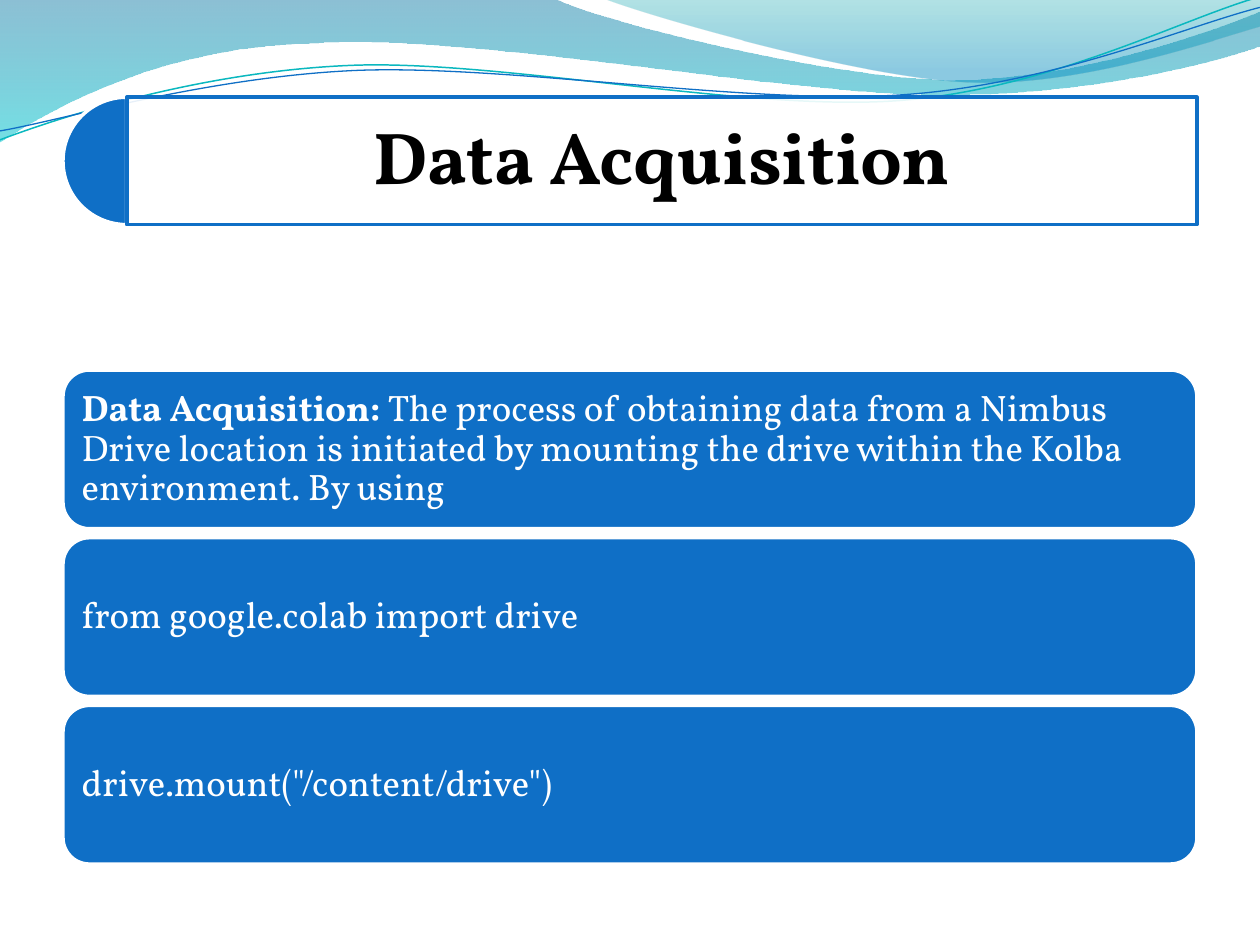
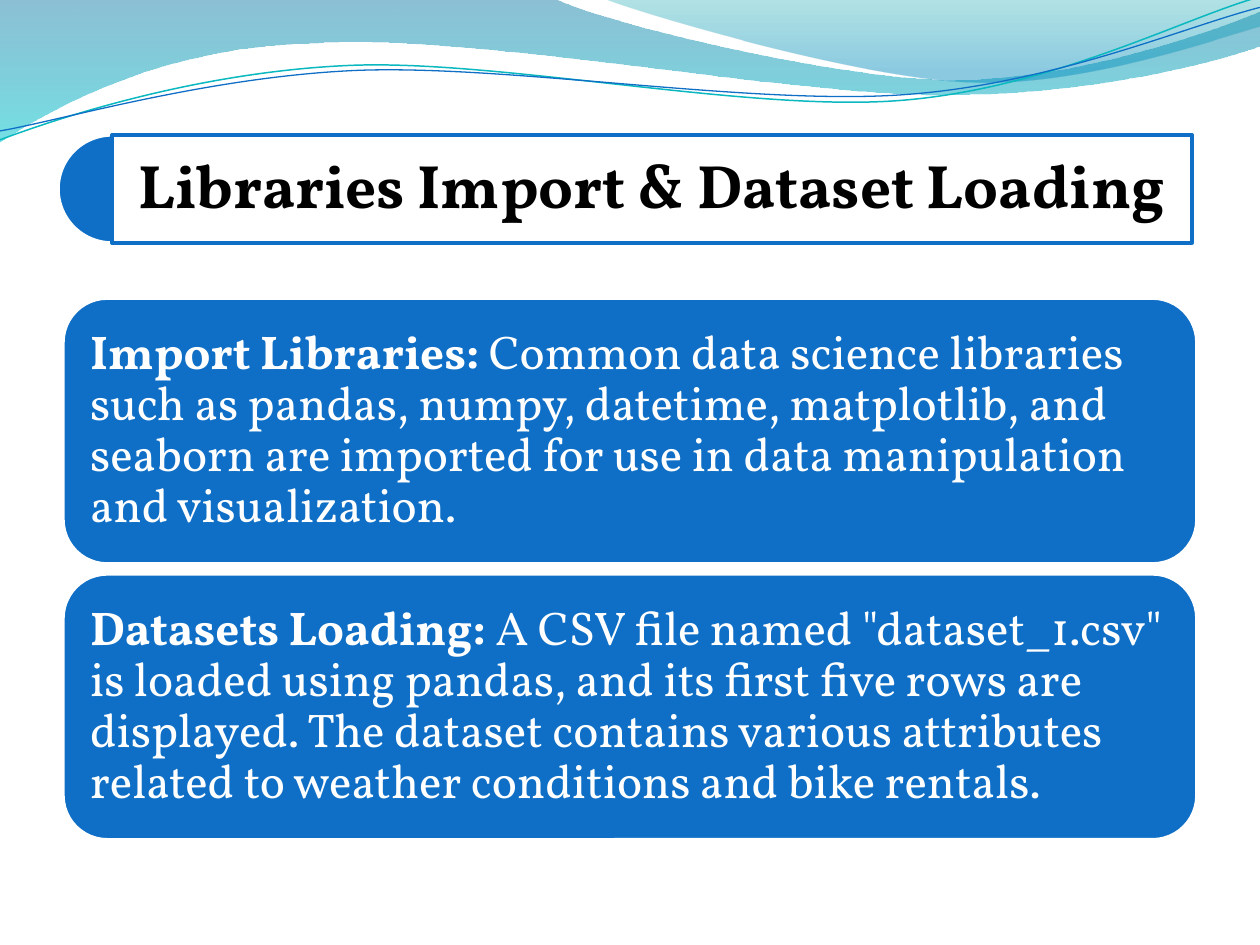
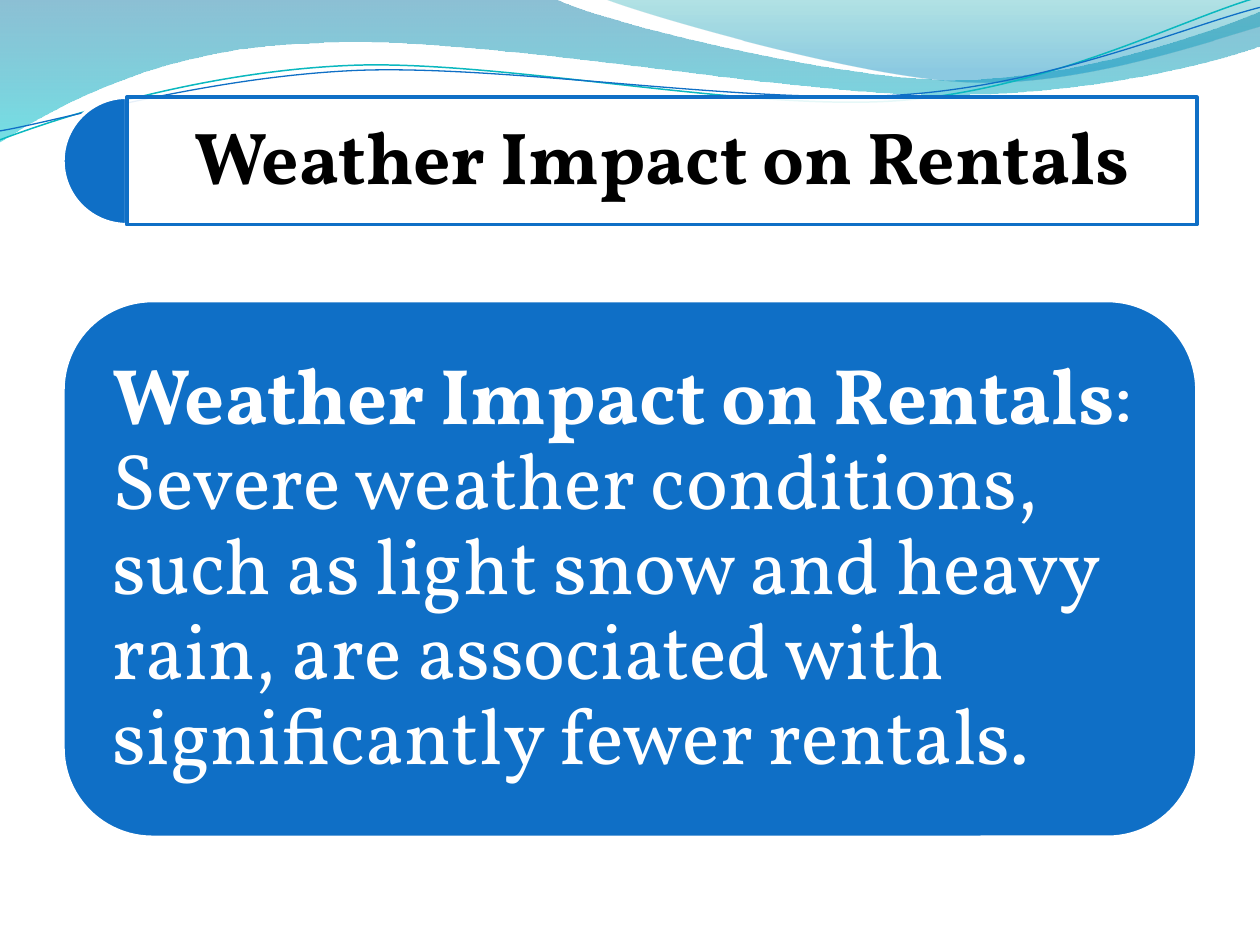
"""Builds three slides on preparing and reading bike rental data."""
from dataclasses import dataclass
from typing import Optional

from lxml import etree
from pptx import Presentation
from pptx.dml.color import RGBColor
from pptx.enum.shapes import MSO_SHAPE
from pptx.enum.text import MSO_ANCHOR, PP_ALIGN
from pptx.oxml.ns import qn
from pptx.util import Cm, Pt

PIE, RECT, ROUND_RECT = MSO_SHAPE.PIE, MSO_SHAPE.RECTANGLE, MSO_SHAPE.ROUNDED_RECTANGLE
MIDDLE = MSO_ANCHOR.MIDDLE
LEFT, CENTER = PP_ALIGN.LEFT, PP_ALIGN.CENTER


@dataclass(frozen=True)
class Theme:
    """Colours, type and line weights shared by the slides."""
    blue: str = "0F6FC6"
    teal: str = "0AB8BF"
    white: str = "FFFFFF"
    black: str = "000000"
    font: str = "Vollkorn"
    title: int = 42
    title_long: int = 35
    card_small: int = 21
    card_medium: int = 27
    card_large: int = 45
    outline: float = 2
    line_spacing: float = 0.9
    inset_ratio: float = 0.3


@dataclass(frozen=True)
class Stop:
    """A gradient stop with position and opacity from 0 to 1."""
    position: float
    color: str
    opacity: float


@dataclass(frozen=True)
class Wave:
    """An outline whose segments hold one point (line) or three (Bezier curve)."""
    start: tuple
    segments: tuple
    stops: tuple = ()
    line: Optional[str] = None
    weight: float = 0


@dataclass(frozen=True)
class Banner:
    """A title box with a half disc at its left."""
    text: str
    left: float = 1.27
    top: float = 1.96
    height: float = 2.57
    size: int = Theme.title


@dataclass(frozen=True)
class Card:
    """Card text with a bold lead."""
    lead: str
    body: str


@dataclass(frozen=True)
class Page:
    """One slide: its banner and an evenly spaced stack of cards."""
    banner: Banner
    cards: tuple
    top: float
    height: float
    size: int
    gap: float = 0.18


THEME = Theme()
CONTENT_LEFT, CONTENT_WIDTH = 1.27, 22.86

WAVES = (
    Wave((0, 0), (
        ((11.18, -0.03),),
        ((12.09, 0.43), (16.87, 1.6), (19.25, 1.6)),
        ((21.67, 1.6), (24.33, 0.66), (25.4, 0.23)),
        ((25.43, 0.91),),
        ((24.97, 1.12), (22.1, 1.93), (18.95, 1.91)),
        ((15.8, 1.91), (9.7, 0.71), (6.53, 0.86)),
        ((3.28, 0.91), (1.17, 2.11), (-0.03, 2.87)),
        ((0, 0),),
    ), stops=(Stop(0, "0074A1", 0.45), Stop(1, "00C6CF", 0.55))),
    Wave((12.17, -0.03), (
        ((12.93, 0.28), (17.32, 1.57), (19.53, 1.65)),
        ((21.74, 1.75), (24.41, 0.81), (25.4, 0.53)),
        ((25.4, 0),),
        ((12.17, -0.03),),
    ), stops=(Stop(0, "00A1A9", 0.3), Stop(0.8, "008BBF", 0.45))),
    Wave((0, 2.82), (
        ((1.22, 2.36), (4.01, 1.45), (7.04, 1.32)),
        ((10.03, 1.19), (15.06, 2.26), (18.11, 2.03)),
        ((21.16, 1.8), (23.83, 0.38), (25.35, -0.05)),
    ), line=THEME.teal, weight=0.85),
    Wave((0, 2.64), (
        ((1.19, 2.44), (4.17, 1.55), (7.19, 1.42)),
        ((10.24, 1.3), (15.16, 2.13), (18.21, 1.91)),
        ((21.23, 1.7), (23.9, 0.53), (25.4, 0.15)),
    ), line=THEME.blue, weight=0.75),
)

PAGES = (
    Page(Banner("Data Acquisition"), (
        Card("Data Acquisition: ",
             "The process of obtaining data from a Nimbus Drive location is initiated "
             "by mounting the drive within the Kolba environment. By using"),
        Card("", "from google.colab import drive"),
        Card("", 'drive.mount("/content/drive")'),
    ), top=7.46, height=3.2, size=THEME.card_small),
    Page(Banner("Libraries Import & Dataset Loading", left=1.17, top=2.72, height=2.18,
                size=THEME.title_long), (
        Card("Import Libraries:",
             " Common data science libraries such as pandas, numpy, datetime, matplotlib, "
             "and seaborn are imported for use in data manipulation and visualization."),
        Card("Datasets Loading:",
             ' A CSV file named "dataset_1.csv" is loaded using pandas, and its first five '
             "rows are displayed. The dataset contains various attributes related to "
             "weather conditions and bike rentals."),
    ), top=6.01, height=5.36, size=THEME.card_medium, gap=0.2),
    Page(Banner("Weather Impact on Rentals"), (
        Card("Weather Impact on Rentals",
             ": Severe weather conditions, such as light snow and heavy rain, are "
             "associated with significantly fewer rentals."),
    ), top=6.06, height=10.82, size=THEME.card_large),
)


def rgb(color: str) -> RGBColor:
    """Return a colour from its hex code."""
    return RGBColor.from_string(color)


def set_opacity(color_element, opacity: float) -> None:
    """Give a colour element an opacity."""
    alpha = etree.SubElement(color_element, qn("a:alpha"))
    alpha.set("val", str(round(opacity * 100000)))


def bend(sp, segments: tuple) -> None:
    """Join the vertices of each three-point segment into one Bezier curve."""
    vertices = iter(list(sp.element.iter(qn("a:lnTo"))))
    for segment in segments:
        steps = [next(vertices) for _ in segment]
        if len(steps) == 3:
            curve = etree.Element(qn("a:cubicBezTo"))
            steps[0].addprevious(curve)
            for step in steps:
                curve.append(step[0])
                step.getparent().remove(step)


def add_wave(s, wave: Wave) -> None:
    """Draw one wave as a gradient area or a thin line."""
    x, y = wave.start
    builder = s.shapes.build_freeform(Cm(x), Cm(y))
    points = [(Cm(px), Cm(py)) for segment in wave.segments for px, py in segment]
    builder.add_line_segments(points, close=False)
    sp = builder.convert_to_shape()
    bend(sp, wave.segments)
    sp.shadow.inherit = False
    if wave.line:
        sp.fill.background()
        sp.line.color.rgb = rgb(wave.line)
        sp.line.width = Pt(wave.weight)
        return
    etree.SubElement(next(sp.element.iter(qn("a:path"))), qn("a:close"))
    sp.line.fill.background()
    sp.fill.gradient()
    sp.fill.gradient_angle = 270
    for target, stop in zip(sp.fill.gradient_stops, wave.stops):
        target.position = stop.position
        target.color.rgb = rgb(stop.color)
    for element, stop in zip(list(sp.element.iter(qn("a:srgbClr"))), wave.stops):
        set_opacity(element, stop.opacity)


def add_box(s, kind, left: float, top: float, width: float, height: float,
            fill: str, line: str):
    """Draw a preset shape with lengths in centimetres."""
    sp = s.shapes.add_shape(kind, Cm(left), Cm(top), Cm(width), Cm(height))
    sp.shadow.inherit = False
    sp.fill.solid()
    sp.fill.fore_color.rgb = rgb(fill)
    sp.line.color.rgb = rgb(line)
    sp.line.width = Pt(THEME.outline)
    return sp


def write(sp, text: str, *, lead: str = "", size: int, color: str,
          bold: bool = False, align=LEFT) -> None:
    """Write text after an optional bold lead, with insets that follow the type size."""
    tf = sp.text_frame
    tf.word_wrap = True
    tf.vertical_anchor = MIDDLE
    inset = Pt(size * THEME.inset_ratio)
    tf.margin_left = tf.margin_right = tf.margin_top = tf.margin_bottom = inset
    p = tf.paragraphs[0]
    p.alignment = align
    p.line_spacing = THEME.line_spacing
    for part, is_bold in ((lead, True), (text, bold)):
        if part:
            r = p.add_run()
            r.text = part
            r.font.name = THEME.font
            r.font.size = Pt(size)
            r.font.bold = is_bold
            r.font.color.rgb = rgb(color)


def add_banner(s, banner: Banner) -> None:
    """Draw the half disc and the title box."""
    radius = banner.height / 2
    disc = add_box(s, PIE, banner.left, banner.top, banner.height, banner.height,
                   THEME.blue, THEME.white)
    disc.adjustments[0], disc.adjustments[1] = 54, 162
    box = add_box(s, RECT, banner.left + radius, banner.top, CONTENT_WIDTH - radius,
                  banner.height, THEME.white, THEME.blue)
    set_opacity(next(box.element.iter(qn("a:srgbClr"))), 0.9)
    write(box, banner.text, size=banner.size, color=THEME.black, bold=True, align=CENTER)


def add_page(prs, page: Page) -> None:
    """Add a slide with waves, banner and cards."""
    s = prs.slides.add_slide(prs.slide_layouts[6])
    for wave in WAVES:
        add_wave(s, wave)
    add_banner(s, page.banner)
    for i, card in enumerate(page.cards):
        sp = add_box(s, ROUND_RECT, CONTENT_LEFT, page.top + i * (page.height + page.gap),
                     CONTENT_WIDTH, page.height, THEME.blue, THEME.white)
        write(sp, card.body, lead=card.lead, size=page.size, color=THEME.white)


def main() -> None:
    """Build and save the presentation."""
    prs = Presentation()
    prs.slide_width, prs.slide_height = Cm(25.4), Cm(19.05)
    for page in PAGES:
        add_page(prs, page)
    prs.save("out.pptx")


if __name__ == "__main__":
    main()
